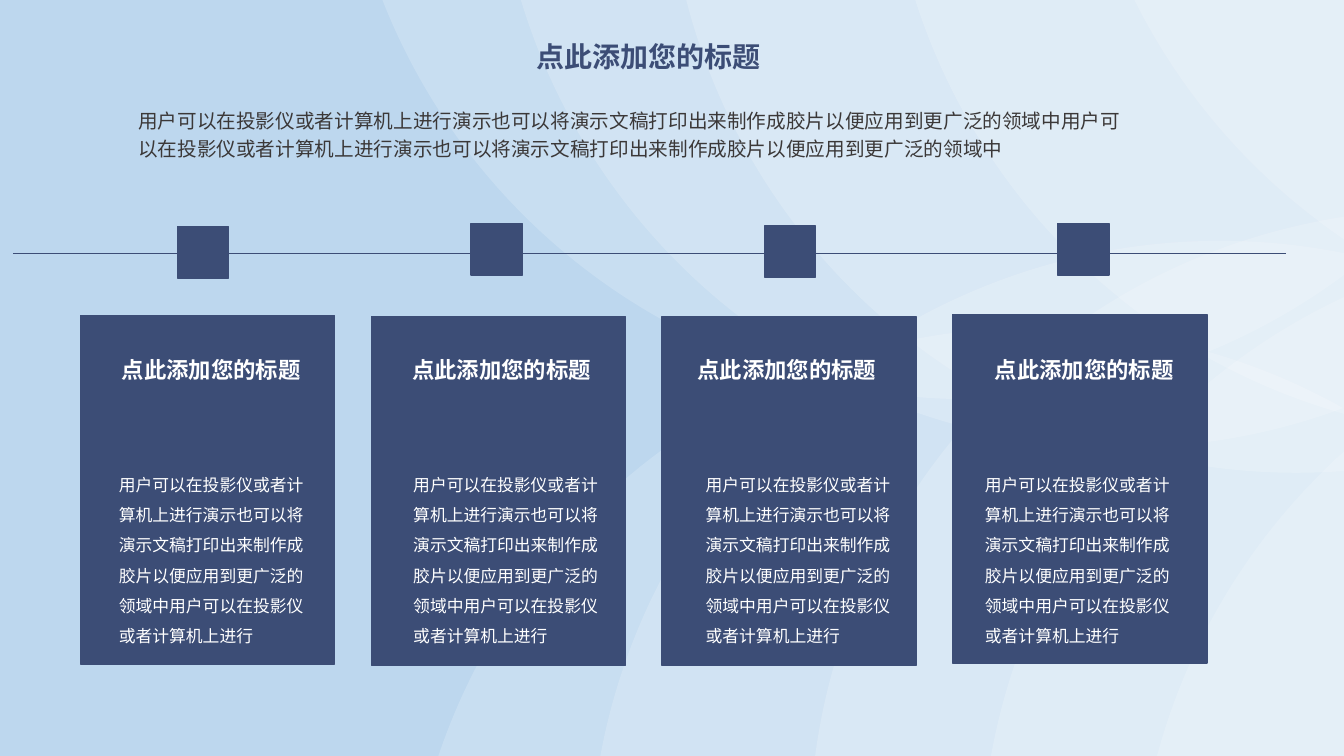
from lxml import etree
from pptx import Presentation
from pptx.dml.color import RGBColor
from pptx.enum import shapes, text
from pptx.oxml import ns
from pptx.util import Inches, Pt

FONT = "Noto Sans CJK SC"
COLORS = {"sky": "BDD7EE", "navy": "3C4D76", "white": "FFFFFF", "gray": "3B3838"}

TITLE = "点此添加您的标题"
INTRO = (
    "用户可以在投影仪或者计算机上进行演示也可以将演示文稿打印出来制作成胶片以便应用到更广泛的领域中"
    "用户可以在投影仪或者计算机上进行演示也可以将演示文稿打印出来制作成胶片以便应用到更广泛的领域中"
)
CARD_TITLE = "点此添加您的标题"
CARD_TEXT = (
    "用户可以在投影仪或者计算机上进行演示也可以将演示文稿打印出来制作成胶片以便应用到更广泛的领域中"
    "用户可以在投影仪或者计算机上进行"
)

# Left and top of each translucent background circle
CIRCLES = [
    (8.03, 2.08), (5.85, 2.39), (4.02, 3.25), (9.73, 2.36), (11.26, 2.88),
    (6.61, -7.8), (8.78, -8.15), (10.59, -9.04), (4.9, -8.05), (3.36, -8.53),
]
CIRCLE_SIZE = 12.49
CIRCLE_ALPHA = 18

# Marker top, card top, heading left, text left
STEPS = [
    (2.25, 3.13, 1.11, 1.08),
    (2.22, 3.14, 3.99, 4.0),
    (2.24, 3.14, 6.82, 6.9),
    (2.22, 3.12, 9.77, 9.67),
]
MARKER_LEFT, MARKER_PITCH, MARKER_SIZE = 1.76, 2.91, 0.51
CARD_FIRST, CARD_LAST, CARD_WIDTH, CARD_HEIGHT = 0.8, 9.45, 2.52, 3.46


def color(name):
    return RGBColor.from_string(COLORS[name])


def add_filled(slide, kind, box, fill, outlined=True):
    shape = slide.shapes.add_shape(kind, *map(Inches, box))
    shape.shadow.inherit = False
    shape.fill.solid()
    shape.fill.fore_color.rgb = color(fill)
    if outlined:
        shape.line.color.rgb = color(fill)
        shape.line.width = Pt(1)
    else:
        shape.line.fill.background()
    return shape


def write(shape, box, words, size, ink, bold=False, spacing=1.0):
    """Place a text box or placeholder and fill it with one left-aligned paragraph."""
    shape.left, shape.top, shape.width, shape.height = map(Inches, box)
    frame = shape.text_frame
    frame.word_wrap = True
    frame.auto_size = text.MSO_AUTO_SIZE.SHAPE_TO_FIT_TEXT
    frame.vertical_anchor = text.MSO_ANCHOR.TOP
    paragraph = frame.paragraphs[0]
    paragraph.alignment = text.PP_ALIGN.LEFT
    paragraph.line_spacing = spacing
    paragraph.space_before = Pt(0)
    run = paragraph.add_run()
    run.text = words
    run.font.name = FONT
    etree.SubElement(run.font._element, ns.qn("a:ea"), typeface=FONT)
    run.font.size = Pt(size)
    run.font.bold = bold
    run.font.color.rgb = color(ink)


def add_text(slide, box, *style, **options):
    write(slide.shapes.add_textbox(*map(Inches, box)), box, *style, **options)


def add_background(slide):
    slide.background.fill.solid()
    slide.background.fill.fore_color.rgb = color("sky")
    for left, top in CIRCLES:
        box = (left, top, CIRCLE_SIZE, CIRCLE_SIZE)
        circle = add_filled(slide, shapes.MSO_SHAPE.OVAL, box, "white", outlined=False)
        tint = circle.fill._xPr.find(".//" + ns.qn("a:srgbClr"))
        etree.SubElement(tint, ns.qn("a:alpha"), val=str(CIRCLE_ALPHA * 1000))


def add_timeline(slide):
    line = slide.shapes.add_connector(
        shapes.MSO_CONNECTOR.STRAIGHT, *map(Inches, (0.13, 2.51, 12.75, 2.51)))
    line.line.color.rgb = color("navy")
    line.line.width = Pt(0.5)
    etree.SubElement(line._element.spPr, ns.qn("a:effectLst"))

    card_pitch = (CARD_LAST - CARD_FIRST) / (len(STEPS) - 1)
    for index, (marker_top, card_top, heading_left, text_left) in enumerate(STEPS):
        marker = (MARKER_LEFT + index * MARKER_PITCH, marker_top, MARKER_SIZE, MARKER_SIZE)
        card = (CARD_FIRST + index * card_pitch, card_top, CARD_WIDTH, CARD_HEIGHT)
        for box in (marker, card):
            add_filled(slide, shapes.MSO_SHAPE.RECTANGLE, box, "navy")
        add_text(slide, (heading_left, 3.48, 2.34, 0.37), CARD_TITLE, 16, "white", bold=True)
        add_text(slide, (text_left, 4.56, 2.11, 1.88), CARD_TEXT, 12, "white", spacing=1.5)


def add_heading(slide):
    """Fill the title and body placeholders and bring them in front of the background."""
    title, body = slide.shapes.title, slide.placeholders[1]
    for placeholder in (title, body):
        slide.shapes.element.append(placeholder.element)
    properties = body.text_frame.paragraphs[0]._p.get_or_add_pPr()
    properties.set("marL", "0")
    properties.set("indent", "0")
    etree.SubElement(properties, ns.qn("a:buNone"))
    write(title, (5.22, 0.34, 2.74, 0.44), TITLE, 20, "navy", bold=True)
    write(body, (1.27, 0.98, 10.14, 0.95), INTRO, 14, "gray", spacing=1.2)


def main():
    presentation = Presentation()
    presentation.slide_width = Inches(13.33)
    presentation.slide_height = Inches(7.5)
    slide = presentation.slides.add_slide(presentation.slide_layouts[1])
    add_background(slide)
    add_timeline(slide)
    add_heading(slide)
    presentation.save("out.pptx")


if __name__ == "__main__":
    main()
